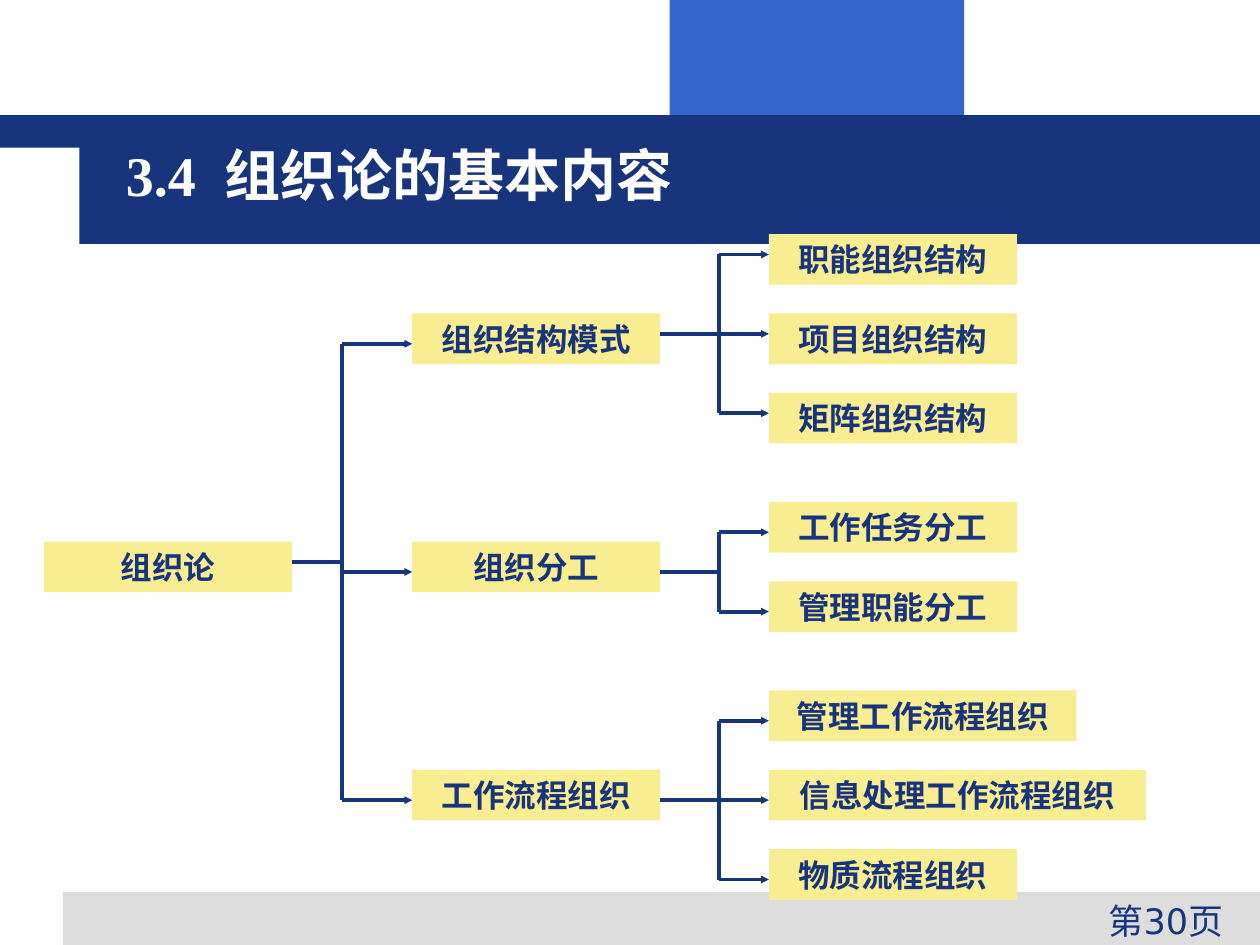
from dataclasses import dataclass, field

from lxml import etree
from pptx import Presentation
from pptx.dml.color import RGBColor
from pptx.enum.shapes import MSO_CONNECTOR, MSO_SHAPE
from pptx.enum.text import MSO_ANCHOR, PP_ALIGN
from pptx.oxml.ns import qn
from pptx.util import Cm, Pt

RECT = MSO_SHAPE.RECTANGLE
LINE = MSO_CONNECTOR.STRAIGHT
LEFT, MID, RIGHT = PP_ALIGN.LEFT, PP_ALIGN.CENTER, PP_ALIGN.RIGHT
TOP, MIDDLE = MSO_ANCHOR.TOP, MSO_ANCHOR.MIDDLE

NAVY = RGBColor(0x17, 0x34, 0x7D)
BLUE = RGBColor(0x33, 0x66, 0xCC)
GREY = RGBColor(0xDD, 0xDD, 0xDD)
CREAM = RGBColor(0xF9, 0xED, 0x91)
WHITE = RGBColor(0xFF, 0xFF, 0xFF)

# All lengths below are centimetres.
HIGH = 1.02
STEP = 1.6
COLS = (0.89, 8.31, 15.5)
TRUNKS = (6.9, 14.5)


@dataclass
class Node:
    """A box; stem and shift place its lines relative to box middles."""
    text: str
    kids: list["Node"] = field(default_factory=list)
    top: float = 0
    wide: float = 5
    stem: float = 0.1
    shift: float = 0.1

    @property
    def mid(self) -> float:
        return self.top + HIGH / 2


def group(text: str, top: float, kids: list[Node], shift: float = 0.1) -> Node:
    """Space the kids evenly from top and centre their parent on them."""
    for row, kid in enumerate(kids):
        kid.top = top + row * STEP
    mean = (kids[0].top + kids[-1].top) / 2
    return Node(text, kids, mean, stem=shift, shift=shift)


def write(shape, text: str, size: float, font: str, color: RGBColor,
          bold: bool = False, align=LEFT, anchor=TOP) -> None:
    frame = shape.text_frame
    frame.word_wrap = True
    frame.vertical_anchor = anchor
    para = frame.paragraphs[0]
    para.alignment = align
    run = para.add_run()
    run.text = text
    run.font.size = Pt(size)
    run.font.name = font
    run.font.bold = bold
    run.font.color.rgb = color


def block(slide, x: float, y: float, w: float, h: float, fill: RGBColor):
    shape = slide.shapes.add_shape(RECT, Cm(x), Cm(y), Cm(w), Cm(h))
    shape.shadow.inherit = False
    shape.fill.solid()
    shape.fill.fore_color.rgb = fill
    shape.line.fill.background()
    return shape


def label(slide, x: float, y: float, w: float, h: float):
    return slide.shapes.add_textbox(Cm(x), Cm(y), Cm(w), Cm(h))


def link(slide, x1: float, y1: float, x2: float, y2: float,
         arrow: bool = False) -> None:
    line = slide.shapes.add_connector(LINE, Cm(x1), Cm(y1), Cm(x2), Cm(y2))
    line.line.color.rgb = NAVY
    line.line.width = Pt(2.25)
    if arrow:
        etree.SubElement(line.line._get_or_add_ln(), qn("a:tailEnd"),
                         type="triangle", w="sm", len="sm")
    etree.SubElement(line._element.spPr, qn("a:effectLst"))


def draw(slide, node: Node, level: int = 0) -> None:
    """Draw a node, the lines to its kids, then the kids."""
    x = COLS[level]
    box = block(slide, x, node.top, node.wide, HIGH, CREAM)
    box.text_frame.margin_top = box.text_frame.margin_bottom = 0
    write(box, node.text, 18, "Arial", NAVY, bold=True,
          align=MID, anchor=MIDDLE)
    if not node.kids:
        return
    edge, trunk, end = x + node.wide, TRUNKS[level], COLS[level + 1]
    stem = node.mid + node.stem
    rows = [kid.mid + node.shift for kid in node.kids]
    level_rows = [abs(row - stem) < 0.05 for row in rows]
    if not any(level_rows):
        link(slide, edge, stem, trunk, stem)
    link(slide, trunk, rows[0], trunk, rows[-1])
    for row, direct in zip(rows, level_rows):
        link(slide, edge if direct else trunk, row, end, row, arrow=True)
    for kid in node.kids:
        draw(slide, kid, level + 1)


def main() -> None:
    deck = Presentation()
    deck.slide_width, deck.slide_height = Cm(25.4), Cm(19.05)
    slide = deck.slides.add_slide(deck.slide_layouts[6])

    block(slide, 13.5, 0, 5.94, 2.33, BLUE)
    block(slide, 1.27, 17.98, 24.13, 1.07, GREY)
    block(slide, 0, 2.32, 25.4, 0.66, NAVY)
    block(slide, 1.6, 2.32, 23.8, 2.6, NAVY)
    write(label(slide, 16.1, 18, 8.81, 1.05), "第30页", 20,
          "DejaVu Sans", NAVY, align=RIGHT)
    write(label(slide, 2.29, 2.92, 21.67, 1.17), "3.4  组织论的基本内容", 32,
          "Times New Roman", WHITE, bold=True, anchor=MIDDLE)

    modes = group("组织结构模式", 4.72, [
        Node("职能组织结构"), Node("项目组织结构"), Node("矩阵组织结构")],
        shift=-0.1)
    tasks = group("组织分工", 10.12, [
        Node("工作任务分工"), Node("管理职能分工")])
    flows = group("工作流程组织", 13.92, [
        Node("管理工作流程组织", wide=6.2),
        Node("信息处理工作流程组织", wide=7.6),
        Node("物质流程组织")])
    root = Node("组织论", [modes, tasks, flows], tasks.top, stem=-0.1)
    draw(slide, root)

    deck.save("out.pptx")


if __name__ == "__main__":
    main()
